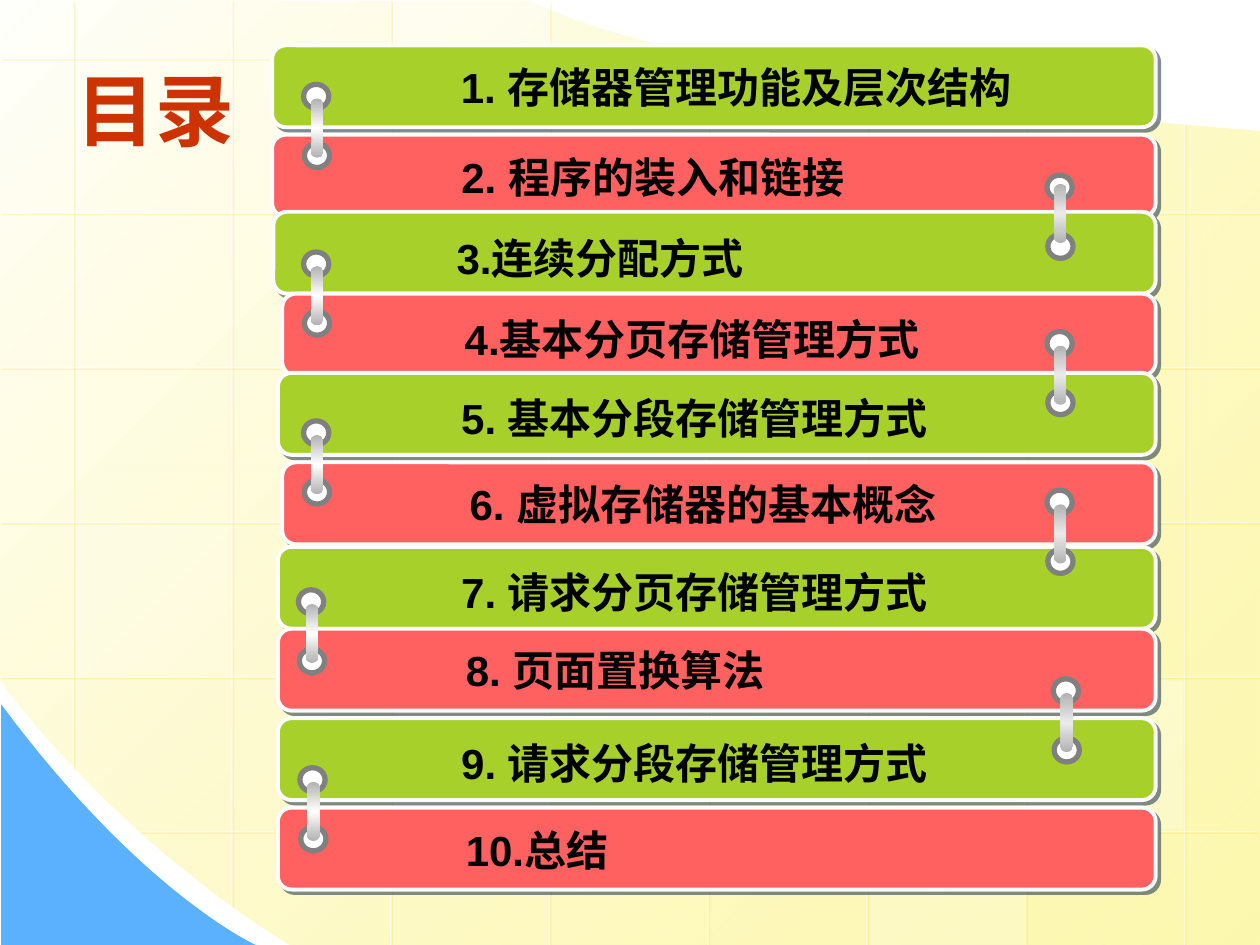
from dataclasses import dataclass

from lxml import etree
from pptx import Presentation
from pptx.dml.color import RGBColor
from pptx.enum.shapes import MSO_CONNECTOR as Connector, MSO_SHAPE as Shape
from pptx.enum.text import MSO_ANCHOR as Anchor, MSO_AUTO_SIZE as AutoSize, PP_ALIGN as Align
from pptx.oxml.ns import qn
from pptx.util import Pt

COLORS = {
    "white": "FFFFFF", "cream": "FFFFFB", "yellow": "FDF58D", "blue": "5CB1FE",
    "grid_shadow": "FFCC00", "title": "CC3300", "text": "000000", "green": "A8D02A",
    "red": "FF6161", "bar_edge": "FCFCFC", "bar_shadow": "001D3A", "text_shadow": "C0C0C0",
    "ring": "808080", "clip": "B2B2B2", "clip_light": "EAEAEA",
}
FONT = "Arial"
GRID_LEFT, GRID_TOP, GRID_X, GRID_Y = 41.76, 121.68, 90.72, 88.38
BAR_RIGHT, BAR_HEIGHT = 660.4, 46.8
RING_WIDTH, RING_HEIGHT, RING_GAP = 14.4, 13.68, 33.84


@dataclass
class Tile:
    column: int
    top: float
    opacity: int
    height: float = 84.96


@dataclass
class Topic:
    text: str
    left: float
    top: float
    text_left: float
    text_top: float


@dataclass
class Clip:
    left: float
    top: float
    middle: str = "white"
    drop: float = 8.1


TILES = [
    Tile(3, 211.68, 25), Tile(6, 388.8, 30), Tile(0, 299.52, 20), Tile(5, 477.36, 20, 62.64),
    Tile(2, 0, 40, 31.68), Tile(2, 388.8, 30), Tile(5, 123.12, 30),
]
TOPICS = [
    Topic("1. 存储器管理功能及层次结构", 155.5, 25.9, 221, 31.7),
    Topic("2. 程序的装入和链接", 155.5, 77, 221.3, 83.2),
    Topic("3.连续分配方式", 156.2, 121, 218.6, 129.3),
    Topic("4.基本分页存储管理方式", 161.3, 167.8, 223.2, 175.8),
    Topic("5. 基本分段存储管理方式", 158.8, 213.1, 221.2, 220.8),
    Topic("6. 虚拟存储器的基本概念", 161.3, 264.2, 226, 269.9),
    Topic("7. 请求分页存储管理方式", 158.8, 312.5, 221.2, 320.3),
    Topic("8. 页面置换算法", 158.8, 359.3, 223.8, 365),
    Topic("9. 请求分段存储管理方式", 158.8, 410.4, 221.2, 417.8),
    Topic("10.总结", 158.8, 461.5, 223.8, 467.4),
]
CLIPS = [
    Clip(598.3, 100.1, "clip_light", 5), Clip(598.3, 189.4, "clip_light"),
    Clip(173.5, 48.2), Clip(173.5, 144), Clip(173.5, 240.5), Clip(170.6, 337),
    Clip(598.3, 280.1, "clip_light"), Clip(601.9, 387.9, "clip_light"), Clip(171.4, 438.7),
]


def rgb(name: str) -> RGBColor:
    return RGBColor.from_string(COLORS[name])


def add_color(parent, name: str, opacity: int = 100) -> None:
    color = etree.SubElement(parent, qn("a:srgbClr"), val=COLORS[name])
    if opacity < 100:
        etree.SubElement(color, qn("a:alpha"), val=str(opacity * 1000))


def add_shadow(parent, name: str, opacity: int, distance: float):
    effects = etree.SubElement(parent, qn("a:effectLst"))
    shadow = etree.SubElement(effects, qn("a:outerShdw"), dist=str(Pt(distance)),
                              dir="2700000", algn="ctr", rotWithShape="0")
    add_color(shadow, name, opacity)
    return effects


def set_opacity(fill_element, opacity: int) -> None:
    color = fill_element.find(".//" + qn("a:srgbClr"))
    etree.SubElement(color, qn("a:alpha"), val=str(opacity * 1000))


def paint(shape, fill: str, edge: str = "", width: float = 0) -> None:
    shape.shadow.inherit = False
    shape.fill.solid()
    shape.fill.fore_color.rgb = rgb(fill)
    if edge:
        shape.line.color.rgb = rgb(edge)
        shape.line.width = Pt(width)
    else:
        shape.line.fill.background()


def paint_gradient(shape, stops: list, angle: int) -> None:
    paint(shape, "white")
    solid = shape._element.spPr.find(qn("a:solidFill"))
    gradient = etree.Element(qn("a:gradFill"), rotWithShape="1")
    stop_list = etree.SubElement(gradient, qn("a:gsLst"))
    for position, name, opacity in stops:
        add_color(etree.SubElement(stop_list, qn("a:gs"), pos=str(position * 1000)), name, opacity)
    etree.SubElement(gradient, qn("a:lin"), ang=str(angle * 60000), scaled="0")
    solid.getparent().replace(solid, gradient)


def add_preset(shapes, kind, left: float, top: float, width: float, height: float):
    return shapes.add_shape(kind, Pt(left), Pt(top), Pt(width), Pt(height))


def curve(start: tuple, first: tuple, second: tuple, end: tuple, steps: int = 32) -> list:
    points = []
    for step in range(steps + 1):
        t = step / steps
        weights = ((1 - t) ** 3, 3 * t * (1 - t) ** 2, 3 * t * t * (1 - t), t ** 3)
        points.append(tuple(sum(weight * point[axis] for weight, point
                                in zip(weights, (start, first, second, end))) for axis in (0, 1)))
    return points


def add_outline(shapes, points: list):
    corners = [(Pt(x), Pt(y)) for x, y in points]
    builder = shapes.build_freeform(*corners[0], scale=1.0)
    builder.add_line_segments(corners[1:], close=True)
    return builder.convert_to_shape()


def add_grid_line(shapes, x1: float, y1: float, x2: float, y2: float) -> None:
    line = shapes.add_connector(Connector.STRAIGHT, Pt(x1), Pt(y1), Pt(x2), Pt(y2))
    line.line.color.rgb = rgb("white")
    line.line.width = Pt(0.75)
    properties = line._element.spPr
    set_opacity(properties.find(qn("a:ln")), 50)
    add_shadow(properties, "grid_shadow", 34, 1.4)


def add_background(shapes) -> None:
    page_edge = (curve((303.12, 0.72), (303.12, 0.72), (386.64, 49.68), (720, 74.88))
                 + [(720, 540)]
                 + curve((165.6, 540), (61.92, 475.92), (-0.72, 388.08), (0, 388.08))
                 + [(0, 0)])
    paint_gradient(add_outline(shapes, page_edge), [(0, "cream", 100), (100, "yellow", 70)], 45)
    corner = [(0.72, 540)] + curve((146.16, 540), (146.16, 540), (80.64, 510.48), (0.72, 402.48))
    paint(add_outline(shapes, corner), "blue")

    tops = [0, 0, 0, 0, 30.96, 48.96, 61.2, 70.56]
    bottoms = [438.48, 517.68] + [540] * 6
    for column, (top, bottom) in enumerate(zip(tops, bottoms)):
        x = GRID_LEFT + GRID_X * column
        add_grid_line(shapes, x, top, x, bottom)
    for row, (left, right) in enumerate([(0, 408.96)] + [(0, 720)] * 4 + [(79.92, 717.84)]):
        y = GRID_TOP + GRID_Y * (row - 1)
        add_grid_line(shapes, left, y, right, y)
    for tile in TILES:
        box = add_preset(shapes, Shape.RECTANGLE, GRID_LEFT + GRID_X * tile.column + 1.44,
                         tile.top, 88.56, tile.height)
        paint(box, "white")
        set_opacity(box._element.spPr.find(qn("a:solidFill")), tile.opacity)


def add_run(para, text: str, size: float, color: str):
    span = para.add_run()
    span.text = text
    span.font.size = Pt(size)
    span.font.bold = True
    span.font.color.rgb = rgb(color)
    span.font.name = FONT
    return span


def add_topic(shapes, topic: Topic, fill: str) -> None:
    group = shapes.add_group_shape().shapes
    bar = add_preset(group, Shape.ROUNDED_RECTANGLE, topic.left, topic.top,
                     BAR_RIGHT - topic.left, BAR_HEIGHT)
    bar.adjustments[0] = 0.167
    paint(bar, fill, "bar_edge", 2.25)
    properties = bar._element.spPr
    properties.remove(properties.find(qn("a:effectLst")))
    add_shadow(properties, "bar_shadow", 50, 2.8)

    box = group.add_textbox(Pt(topic.text_left), Pt(topic.text_top), Pt(376), Pt(36))
    box.text_frame.word_wrap = True
    box.text_frame.auto_size = AutoSize.SHAPE_TO_FIT_TEXT
    para = box.text_frame.paragraphs[0]
    indents = para._p.get_or_add_pPr()
    indents.set("marL", str(Pt(36)))
    indents.set("indent", str(Pt(-0.72)))
    span = add_run(para, topic.text, 24, "text")
    run_properties = span._r.get_or_add_rPr()
    effects = add_shadow(run_properties, "text_shadow", 100, 2)
    run_properties.find(qn("a:solidFill")).addnext(effects)


def add_clip(shapes, clip: Clip) -> None:
    group = shapes.add_group_shape().shapes
    for shift, drop in ((0, 0), (0.5, RING_GAP)):
        ring = add_preset(group, Shape.OVAL, clip.left + shift, clip.top + drop,
                          RING_WIDTH, RING_HEIGHT)
        paint(ring, "white", "ring", 3)
    rod = add_preset(group, Shape.ROUNDED_RECTANGLE, clip.left + 4.1, clip.top + clip.drop,
                     7.2, RING_GAP)
    rod.adjustments[0] = 0.5
    paint_gradient(rod, [(0, "clip", 100), (50, clip.middle, 100), (100, "clip", 100)], 90)


def add_title(page) -> None:
    title = page.shapes.title
    title.left, title.top, title.width, title.height = Pt(36.72), Pt(25.92), Pt(648), Pt(72.72)
    title.text_frame.vertical_anchor = Anchor.MIDDLE
    para = title.text_frame.paragraphs[0]
    para.alignment = Align.LEFT
    add_run(para, "目录", 45, "title")
    page.shapes._spTree.append(title._element)


def main() -> None:
    deck = Presentation()
    deck.slide_width, deck.slide_height = Pt(720), Pt(540)
    page = deck.slides.add_slide(deck.slide_layouts[5])
    add_background(page.shapes)
    add_title(page)
    for index, topic in enumerate(TOPICS):
        add_topic(page.shapes, topic, ("green", "red")[index % 2])
    for clip in CLIPS:
        add_clip(page.shapes, clip)
    deck.save("out.pptx")


if __name__ == "__main__":
    main()
